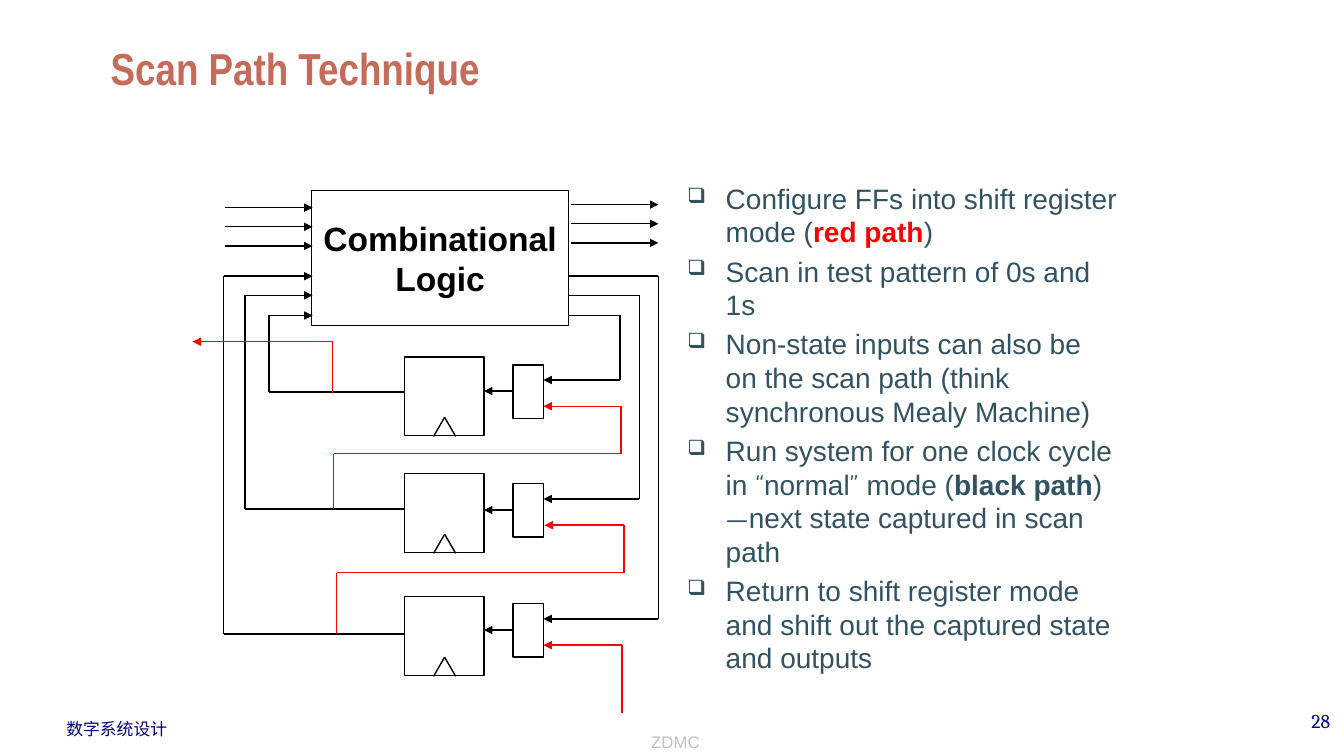
"""Builds the Scan Path Technique slide: a scan chain diagram beside its explanation."""
from lxml import etree
from pptx import Presentation
from pptx.dml.color import RGBColor
from pptx.enum.shapes import MSO_CONNECTOR, MSO_SHAPE
from pptx.enum.text import MSO_ANCHOR, PP_ALIGN
from pptx.oxml.ns import qn
from pptx.util import Pt

STRAIGHT, RECTANGLE = MSO_CONNECTOR.STRAIGHT, MSO_SHAPE.RECTANGLE
LEFT, CENTER, RIGHT = PP_ALIGN.LEFT, PP_ALIGN.CENTER, PP_ALIGN.RIGHT
TOP, MIDDLE, BOTTOM = MSO_ANCHOR.TOP, MSO_ANCHOR.MIDDLE, MSO_ANCHOR.BOTTOM
PX = 9144

THEME = {
    "black": "000000", "red": "FF0000", "line": 1,
    "course": ("Arial", 12, "000082", False),
    "number": ("Cambria", 14, "0000B6", False),
    "footer": ("Arial", 12, "C0C0C0", False),
    "title": ("Arial Narrow", 32, "C66B5A", True),
    "logic": ("Arial", 24, "000000", True),
    "body": ("Arial", 20, "315263", False),
    "strong": ("Arial", 20, "315263", True),
    "scan": ("Arial", 20, "FF0000", True),
    "punctuation": ("Comic Neue", 20, "315263", False),
}

prs = Presentation()
prs.slide_width, prs.slide_height = 1333 * PX, 750 * PX
slide = prs.slides.add_slide(prs.slide_layouts[6])


def write(frame, paragraphs, align=LEFT, anchor=TOP, wrap=True):
    frame.word_wrap = wrap
    frame.vertical_anchor = anchor
    for index, runs in enumerate(paragraphs):
        paragraph = frame.add_paragraph() if index else frame.paragraphs[0]
        paragraph.alignment = align
        for text, style in runs:
            run = paragraph.add_run()
            run.text = text
            run.font.name, size, color, run.font.bold = THEME[style]
            run.font.size = Pt(size)
            run.font.color.rgb = RGBColor.from_string(color)


def wire(points, color="black", arrow=True):
    for start, end in zip(points, points[1:]):
        segment = slide.shapes.add_connector(STRAIGHT, *(v * PX for v in start + end))
        segment.line.color.rgb = RGBColor.from_string(THEME[color])
        segment.line.width = Pt(THEME["line"])
        properties = segment._element.spPr
        etree.SubElement(properties, qn("a:effectLst"))
        if arrow and end == points[-1]:
            etree.SubElement(properties.find(qn("a:ln")), qn("a:tailEnd"), type="triangle")


labels = [
    ((56, 708, 121, 30), "数字系统设计", "course", LEFT, TOP, False),
    ((1051, 698, 278, 50), "28", "number", RIGHT, TOP, True),
    ((345, 700, 650, 51), "ZDMC", "footer", CENTER, BOTTOM, True),
    ((100, 25, 1133, 74), "Scan Path Technique", "title", LEFT, BOTTOM, True),
]
for bounds, text, style, align, anchor, wrap in labels:
    label = slide.shapes.add_textbox(*(v * PX for v in bounds))
    write(label.text_frame, [[(text, style)]], align, anchor, wrap)

points_made = [
    [("Configure FFs into shift register mode (", "body"), ("red path", "scan"), (")", "body")],
    [("Scan in test pattern of 0s and 1s", "body")],
    [("Non-state inputs can also be on the scan path (think synchronous Mealy Machine)", "body")],
    [("Run system for one clock cycle in ", "body"), ("“", "punctuation"), ("normal", "body"),
     ("”", "punctuation"), (" mode (", "body"), ("black path", "strong"), (")", "body"),
     ("—", "punctuation"), ("next state captured in scan path", "body")],
    [("Return to shift register mode and shift out the captured state and outputs", "body")],
]
explanation = slide.shapes.add_textbox(672 * PX, 175 * PX, 446 * PX, 530 * PX).text_frame
write(explanation, points_made)
for paragraph in explanation.paragraphs:
    paragraph.space_before = Pt(4)
    bullet = paragraph._p.get_or_add_pPr()
    bullet.set("marL", str(38 * PX))
    bullet.set("indent", str(-38 * PX))
    bullet_color = etree.SubElement(bullet, qn("a:buClr"))
    etree.SubElement(bullet_color, qn("a:srgbClr"), val=THEME["body"][2])
    etree.SubElement(bullet, qn("a:buSzPct"), val="75000")
    etree.SubElement(bullet, qn("a:buChar"), char="❑")

flip_flop_tops, mux_tops = (354, 470, 592), (362, 480, 599)
blocks = [(309, 189, 255, 134)]
blocks += [(401, top, 79, 78) for top in flip_flop_tops]
blocks += [(509, top, 30, 53) for top in mux_tops]
for bounds in blocks:
    block = slide.shapes.add_shape(RECTANGLE, *(v * PX for v in bounds))
    block.shadow.inherit = False
    block.fill.background()
    block.line.color.rgb = RGBColor.from_string(THEME["black"])
    block.line.width = Pt(THEME["line"])
    if bounds == blocks[0]:
        write(block.text_frame, [[("Combinational", "logic")], [("Logic", "logic")]],
              CENTER, MIDDLE, False)

for y in (206, 225, 244):
    wire([(223, y), (310, y)])
    wire([(566, y - 3), (653, y - 3)])

state_outputs = (389, 505, 629)
feedback_lanes = [(267, 313, 615), (243, 293, 634), (222, 274, 653)]
for ff_top, mux_top, output, (left, logic_y, right) in zip(
        flip_flop_tops, mux_tops, state_outputs, feedback_lanes):
    clock = ff_top + 79
    wire([(430, clock), (441, clock - 19), (452, clock)], arrow=False)
    wire([(509, mux_top + 26), (480, mux_top + 26)])
    wire([(401, output), (left, output), (left, logic_y), (310, logic_y)])
    wire([(564, logic_y), (right, logic_y), (right, mux_top + 15), (539, mux_top + 15)])

scan_links = [
    [(331, 505), (331, 450), (616, 450), (616, 403), (539, 403)],
    [(334, 629), (334, 568), (619, 568), (619, 521), (540, 521)],
    [(617, 707), (617, 640), (539, 640)],
    [(330, 390), (330, 339), (191, 339)],
]
for link in scan_links:
    wire(link, "red")

prs.save("out.pptx")
